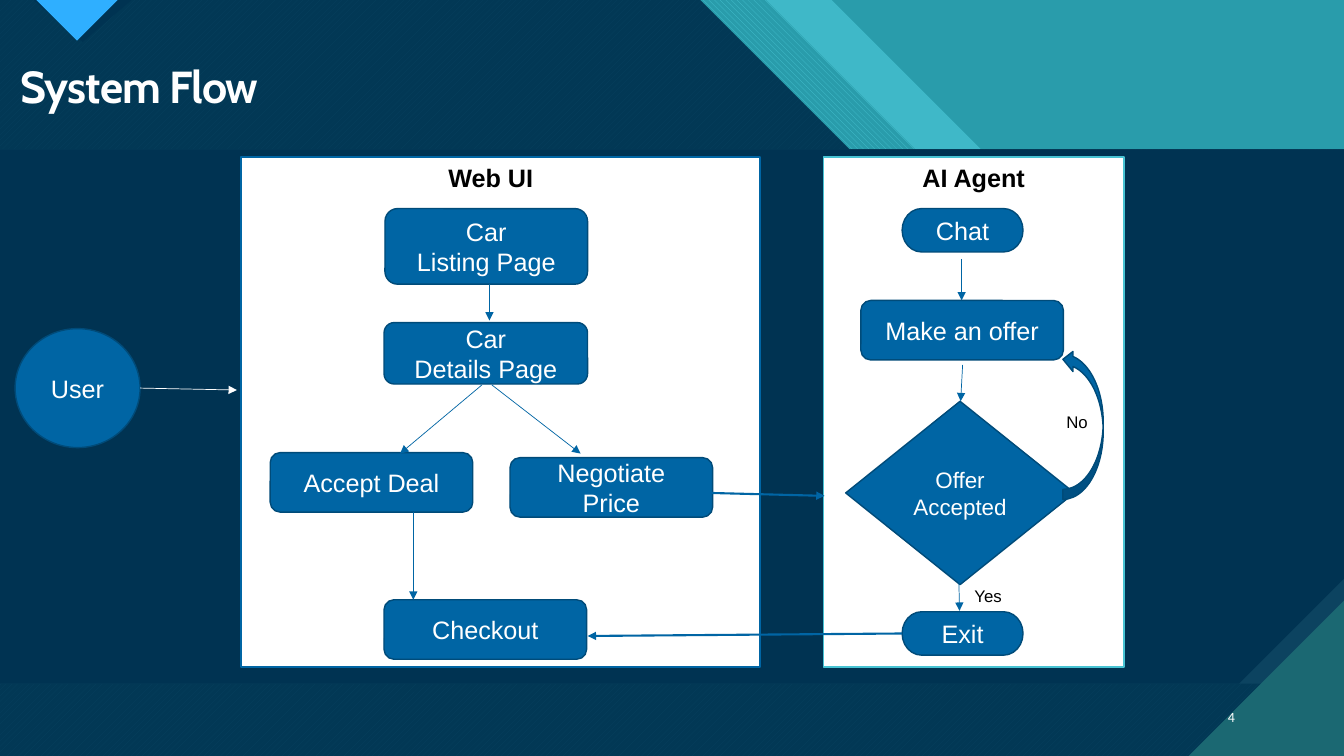
"""Build the System Flow slide: a car sale web UI working with an AI agent."""
from lxml import etree
from pptx import Presentation
from pptx.dml.color import RGBColor
from pptx.enum.dml import MSO_PATTERN
from pptx.enum.shapes import MSO_CONNECTOR, MSO_SHAPE
from pptx.enum.text import MSO_ANCHOR, MSO_AUTO_SIZE, PP_ALIGN
from pptx.oxml.ns import qn
from pptx.util import Pt

WHITE = RGBColor(0xFF, 0xFF, 0xFF)
BLACK = RGBColor(0x00, 0x00, 0x00)
NAVY = RGBColor(0x00, 0x33, 0x52)
SLATE = RGBColor(0x0C, 0x43, 0x60)
TEAL = RGBColor(0x29, 0x9C, 0xAB)
AQUA = RGBColor(0x47, 0xC3, 0xD3)
PINE = RGBColor(0x1B, 0x68, 0x72)
SKY = RGBColor(0x2F, 0xAF, 0xFF)
BLUE = RGBColor(0x00, 0x65, 0xA4)
DEEP_BLUE = RGBColor(0x00, 0x4B, 0x79)

RECTANGLE = MSO_SHAPE.RECTANGLE
ROUNDED = MSO_SHAPE.ROUNDED_RECTANGLE
OVAL = MSO_SHAPE.OVAL
TERMINATOR = MSO_SHAPE.FLOWCHART_TERMINATOR
DIAMOND = MSO_SHAPE.DIAMOND
CURVED_ARROW = MSO_SHAPE.CURVED_UP_ARROW
STRAIGHT = MSO_CONNECTOR.STRAIGHT
DOWN_STRIPES = MSO_PATTERN.WIDE_DOWNWARD_DIAGONAL
UP_STRIPES = MSO_PATTERN.WIDE_UPWARD_DIAGONAL
LEFT, CENTER, RIGHT = PP_ALIGN.LEFT, PP_ALIGN.CENTER, PP_ALIGN.RIGHT
TOP, MIDDLE = MSO_ANCHOR.TOP, MSO_ANCHOR.MIDDLE
NO_AUTOFIT = MSO_AUTO_SIZE.NONE

WIDTH, HEIGHT = 960, 540
BAND_TOP, BAND_BOTTOM, BAND_SNIP = 106.8, 488.4, 75
BOX_WIDTH, BOX_HEIGHT = 144.7, 42.5
PILL_WIDTH, PILL_HEIGHT = 86.4, 31

NODES = [
    (ROUNDED, (275, 149, BOX_WIDTH, 54), ["Car", "Listing Page"], 18),
    (OVAL, (10.8, 234.7, 89.3, 85), ["User"], 18),
    (ROUNDED, (274.3, 230.4, 145.4, 43.9), ["Car", "Details Page"], 18),
    (ROUNDED, (193, 323.3, BOX_WIDTH, BOX_HEIGHT), ["Accept Deal"], 18),
    (ROUNDED, (364.3, 326.9, BOX_WIDTH, BOX_HEIGHT), ["Negotiate", "Price"], 18),
    (TERMINATOR, (644.4, 149, PILL_WIDTH, PILL_HEIGHT), ["Chat"], 18),
    (DIAMOND, (604.1, 286.6, 163.4, 131), ["Offer Accepted"], 16),
    (ROUNDED, (614.9, 214.6, BOX_WIDTH, BOX_HEIGHT), ["Make an offer"], 18),
    (TERMINATOR, (644.4, 437, PILL_WIDTH, PILL_HEIGHT), ["Exit"], 18),
    (ROUNDED, (274.3, 428.4, BOX_WIDTH, BOX_HEIGHT), ["Checkout"], 18),
]

ARROWS = [
    ((100.1, 277.2), (169.2, 278.6), WHITE, 0.5),
    ((349.6, 202.8), (349.6, 229), BLUE, 0.5),
    ((344.2, 275), (285.8, 324), BLUE, 0.5),
    ((351.4, 275), (414.7, 324), BLUE, 0.5),
    ((295.2, 365.8), (295.2, 428.4), BLUE, 0.5),
    ((686.9, 185), (686.9, 214.6), BLUE, 0.5),
    ((506.9, 352.1), (589, 354.2), BLUE, 1.5),
    ((687.6, 260.6), (686.2, 286.6), BLUE, 0.5),
    ((684.9, 414), (685.4, 436.3), BLUE, 0.5),
    ((644.4, 452.5), (419.8, 454.3), BLUE, 1.5),
]


class FlowSlide:
    """Holds the slide with its text style and draws each kind of element."""

    def __init__(self, slide, font="Arial"):
        self.slide = slide
        self.font = font

    def set_text(self, shape, lines, size, color, align, anchor=TOP, bold=False, font=None):
        """Fill a shape with one styled run per paragraph."""
        frame = shape.text_frame
        frame.word_wrap = True
        frame.auto_size = NO_AUTOFIT
        frame.vertical_anchor = anchor
        for index, line in enumerate(lines):
            paragraph = frame.add_paragraph() if index else frame.paragraphs[0]
            paragraph.alignment = align
            run = paragraph.add_run()
            run.text = line
            run.font.name = font or self.font
            run.font.size = Pt(size)
            run.font.bold = bold
            run.font.color.rgb = color

    def title(self, box, text):
        """Format the title placeholder and bring it in front of the backdrop."""
        title = self.slide.shapes.title
        title.left, title.top, title.width, title.height = map(Pt, box)
        self.set_text(title, [text], 32, WHITE, LEFT, bold=True, font="Cabin")
        title.text_frame.paragraphs[0].line_spacing = 0.9
        title.element.find(".//" + qn("a:rPr")).set("spc", "-70")
        title.element.getparent().append(title.element)

    def label(self, box, text, size, color, align, **style):
        """Add a text box."""
        shape = self.slide.shapes.add_textbox(*map(Pt, box))
        self.set_text(shape, [text], size, color, align, **style)

    def shape(self, kind, box, fill, line=None):
        """Add a flat preset shape, outlined when a line colour is given."""
        shape = self.slide.shapes.add_shape(kind, *map(Pt, box))
        shape.shadow.inherit = False
        shape.fill.solid()
        shape.fill.fore_color.rgb = fill
        if line is None:
            shape.line.fill.background()
        else:
            shape.line.color.rgb = line
            shape.line.width = Pt(1)
        return shape

    def node(self, kind, box, lines, size):
        """Add a labelled step of the flow."""
        shape = self.shape(kind, box, BLUE, DEEP_BLUE)
        self.set_text(shape, lines, size, WHITE, CENTER, MIDDLE)

    def polygon(self, points, color, pattern=None, back=None, opacity=None):
        """Add a closed outline with a solid, patterned or translucent fill."""
        corners = [(Pt(x), Pt(y)) for x, y in points]
        builder = self.slide.shapes.build_freeform(*corners[0], scale=1.0)
        builder.add_line_segments(corners[1:], close=True)
        shape = builder.convert_to_shape()
        shape.shadow.inherit = False
        shape.line.fill.background()
        if pattern is None:
            shape.fill.solid()
        else:
            shape.fill.patterned()
            shape.fill.pattern = pattern
            shape.fill.back_color.rgb = back
        shape.fill.fore_color.rgb = color
        if opacity is not None:
            value = shape.element.spPr.find(".//" + qn("a:srgbClr"))
            etree.SubElement(value, qn("a:alpha"), val=str(opacity * 1000))

    def arrow(self, start, end, color, width):
        """Add a straight connector with an arrowhead at its end."""
        connector = self.slide.shapes.add_connector(STRAIGHT, *map(Pt, start + end))
        connector.line.color.rgb = color
        connector.line.width = Pt(width)
        properties = connector.element.spPr
        etree.SubElement(properties.find(qn("a:ln")), qn("a:tailEnd"), type="triangle")
        etree.SubElement(properties, qn("a:effectLst"))

    def backdrop(self):
        """Draw the diagonal header stripes, the dark band and the corners."""
        background = self.slide.background.fill
        background.solid()
        background.fore_color.rgb = TEAL

        def left_of(x):
            return [(0, 0), (x, 0), (x + BAND_TOP, BAND_TOP), (WIDTH, BAND_TOP),
                    (WIDTH, HEIGHT), (0, HEIGHT)]

        self.polygon(left_of(594), AQUA, opacity=74)
        self.polygon(left_of(547), AQUA, DOWN_STRIPES, TEAL)
        self.polygon(left_of(500), AQUA, UP_STRIPES, PINE)
        self.polygon(left_of(500), NAVY, opacity=90)
        self.polygon([(24, 0), (94, 0), (59, 30)], NAVY)
        self.polygon([(26, 0), (84, 0), (55, 29)], SKY)
        self.shape(RECTANGLE, (0, BAND_TOP, WIDTH, BAND_BOTTOM - BAND_TOP), SLATE)
        self.polygon([(0, BAND_TOP), (WIDTH, BAND_TOP), (WIDTH, BAND_BOTTOM - BAND_SNIP),
                      (WIDTH - BAND_SNIP, BAND_BOTTOM), (0, BAND_BOTTOM)], NAVY)
        self.polygon([(849, HEIGHT), (WIDTH, HEIGHT), (WIDTH, 429)], PINE)


def main():
    """Draw the slide and save the presentation."""
    presentation = Presentation()
    presentation.slide_width = Pt(WIDTH)
    presentation.slide_height = Pt(HEIGHT)
    flow = FlowSlide(presentation.slides.add_slide(presentation.slide_layouts[5]))
    flow.backdrop()
    flow.shape(RECTANGLE, (588.2, 112.3, 214.6, 364.3), WHITE, AQUA)
    flow.shape(RECTANGLE, (172, 112.3, 370.8, 364.3), WHITE, BLUE)
    flow.title((7.2, 42.5, 882.7, 42.5), "System Flow")
    flow.label((857.5, 497.5, 31.7, 28.8), "4", 10, WHITE, RIGHT, anchor=MIDDLE, font="Calibri")
    for node in NODES:
        flow.node(*node)
    flow.label((285.8, 112.3, 129.6, 28.8), "Web UI", 18, BLACK, CENTER, bold=True)
    flow.label((588.2, 112.3, 214.6, 28.8), "AI Agent", 18, BLACK, CENTER, bold=True)
    for arrow in ARROWS:
        flow.arrow(*arrow)
    flow.shape(CURVED_ARROW, (720, 288.7, 107.3, 28.8), BLUE, DEEP_BLUE).rotation = 270
    flow.label((689, 414.7, 48.2, 21.6), "Yes", 12, BLACK, LEFT)
    flow.label((754.6, 290.9, 48.2, 21.6), "No", 12, BLACK, LEFT)
    presentation.save("out.pptx")


if __name__ == "__main__":
    main()
